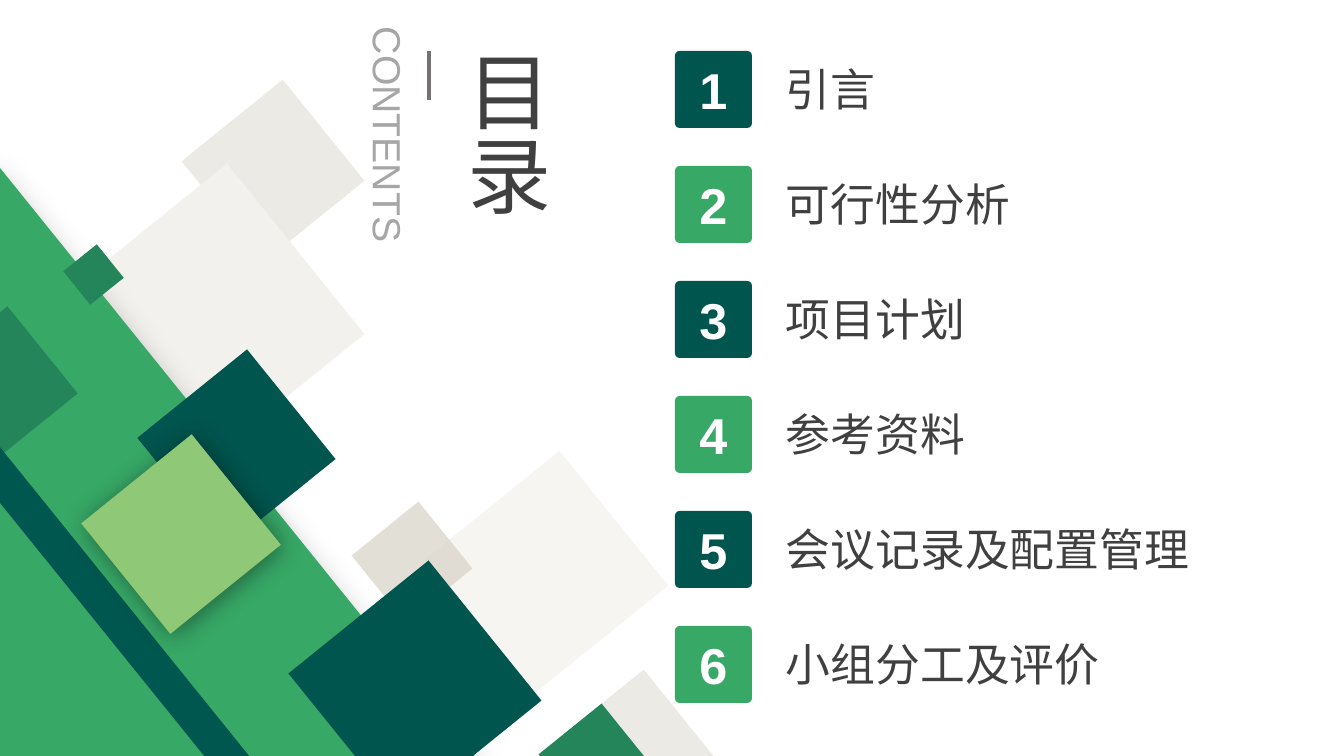
from lxml.etree import SubElement
from pptx import Presentation
from pptx.dml.color import RGBColor
from pptx.enum.shapes import MSO_CONNECTOR as Connector, MSO_SHAPE as Shape
from pptx.enum.text import MSO_ANCHOR as Anchor, PP_ALIGN as Align
from pptx.oxml.ns import qn
from pptx.util import Pt

# Content
TITLE, SUBTITLE = "目录", "CONTENTS"
CHAPTERS = ["引言", "可行性分析", "项目计划", "参考资料", "会议记录及配置管理", "小组分工及评价"]

DEEP, GREEN, MID, LIME = "00554E", "37A866", "24855A", "8FC877"
SAND, PALE, STONE = "E7E4DD", "F2F1ED", "D8D4C9"
INK, GREY, RULE, WHITE = "404040", "A6A6A6", "767171", "FFFFFF"

# Tilted blocks, back to front: left, top, width, height, colour,
# opacity in %, shadow (blur pt, distance pt, direction in degrees)
TILT = 231.1
BLOCKS = [
    (208, 106, 130, 130, SAND, 76, None),
    (101, 208, 219, 219, PALE, 100, None),
    (569, 696, 130, 130, SAND, 76, None),
    (460, 486, 173, 173, PALE, 67, None),
    (369, 519, 86, 86, STONE, 73, None),
    (-395, 472, 1047, 489, GREEN, 100, (27, 16, 90)),
    (555, 720, 81, 81, MID, 100, None),
    (166, 378, 141, 141, DEEP, 100, None),
    (-57, 329, 112, 112, MID, 100, None),
    (72, 253, 43, 43, MID, 100, None),
    (-383, 662, 1096, 35, "00574F", 100, None),
    (110, 463, 142, 142, LIME, 100, (18, 3, 45)),
    (325, 597, 180, 180, DEEP, 100, None),
]

# Chapter list layout
BADGE_LEFT, LIST_TOP, BADGE, PITCH = 675, 51, 77, 115
LABEL_LEFT, LABEL_WIDTH, LABEL_HEIGHT = 776, 444, 64

EMU_PER_PX = 914400 / 100.8


def px(*lengths):
    return [round(length * EMU_PER_PX) for length in lengths]


def rgb(colour):
    return RGBColor.from_string(colour)


prs = Presentation()
prs.slide_width, prs.slide_height = px(1344, 756)
slide = prs.slides.add_slide(prs.slide_layouts[6])


def add_block(kind, box, colour):
    block = slide.shapes.add_shape(kind, *px(*box))
    block.shadow.inherit = False
    block.fill.solid()
    block.fill.fore_color.rgb = rgb(colour)
    block.line.fill.background()
    return block


def set_opacity(block, percent):
    colour = block.fill._xPr.find(qn("a:solidFill"))[0]
    SubElement(colour, qn("a:alpha"), val=str(percent * 1000))


def cast_shadow(block, blur, distance, direction):
    effects = block._element.spPr.find(qn("a:effectLst"))
    shadow = SubElement(effects, qn("a:outerShdw"), blurRad=str(Pt(blur)),
                        dist=str(Pt(distance)), dir=str(direction * 60000),
                        algn="ctr", rotWithShape="0")
    colour = SubElement(shadow, qn("a:srgbClr"), val="000000")
    SubElement(colour, qn("a:alpha"), val="40000")


def write(holder, words, size, colour, bold=False):
    frame = holder.text_frame
    frame.text = words
    frame.word_wrap = True
    font = frame.paragraphs[0].runs[0].font
    font.name, font.size, font.bold = "Arial", Pt(size), bold
    font.color.rgb = rgb(colour)
    return frame


def add_label(box, words, size, colour):
    label = slide.shapes.add_textbox(*px(*box))
    write(label, words, size, colour)
    return label


# Tilted blocks
for *box, colour, opacity, shadow in BLOCKS:
    block = add_block(Shape.RECTANGLE, box, colour)
    block.rotation = TILT
    if opacity < 100:
        set_opacity(block, opacity)
    if shadow:
        cast_shadow(block, *shadow)

# Heading: sideways subtitle, short rule, vertical title
subtitle = add_label((260, 117, 257, 57), SUBTITLE, 28, GREY)
subtitle.rotation = 90

rule = slide.shapes.add_connector(Connector.STRAIGHT, *px(429, 51, 429, 100))
rule.line.color.rgb = rgb(RULE)
rule.line.width = Pt(3)
SubElement(rule._element.spPr, qn("a:effectLst"))

title = add_label((440, 40, 122, 197), TITLE, 60, INK)
title.text_frame._txBody.bodyPr.set("vert", "eaVert")

# Numbered chapters
for index, chapter in enumerate(CHAPTERS):
    top = LIST_TOP + index * PITCH
    badge = add_block(Shape.ROUNDED_RECTANGLE, (BADGE_LEFT, top, BADGE, BADGE),
                      GREEN if index % 2 else DEEP)
    badge.adjustments[0] = 0.06
    number = write(badge, str(index + 1), 36, WHITE, bold=True)
    number.vertical_anchor = Anchor.MIDDLE
    number.paragraphs[0].alignment = Align.CENTER

    label_top = top + (BADGE - LABEL_HEIGHT) // 2
    add_label((LABEL_LEFT, label_top, LABEL_WIDTH, LABEL_HEIGHT), chapter, 32, INK)

prs.save("out.pptx")
